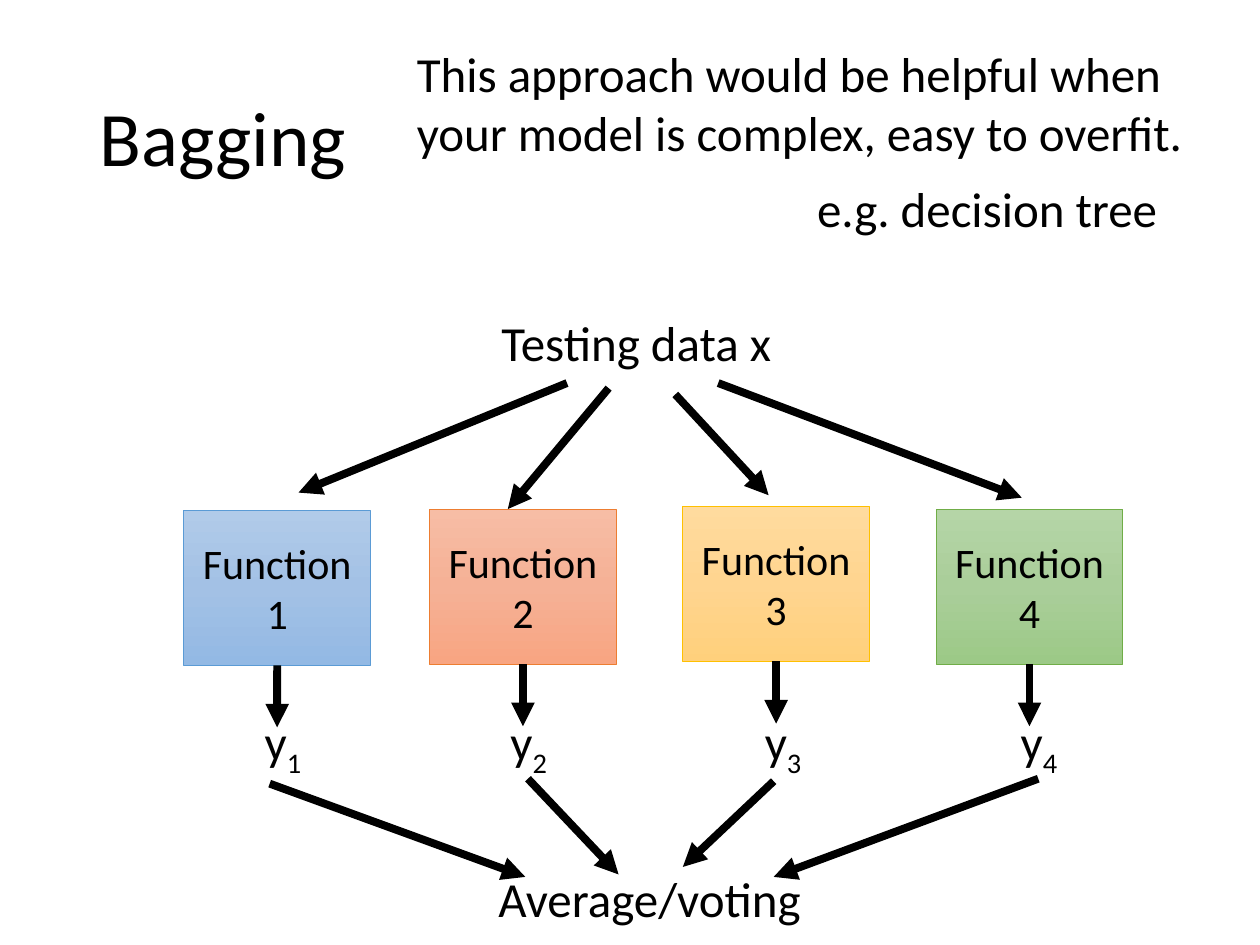
import copy

import pptx
import pptx.dml.color
import pptx.enum.shapes
import pptx.enum.text
import pptx.oxml
import pptx.oxml.ns
import pptx.util

Pt = pptx.util.Pt
ALIGN = pptx.enum.text.PP_ALIGN
ANCHOR = pptx.enum.text.MSO_ANCHOR
FONT = "Calibri"
COLORS = {
    "black": "000000",
    "blue": ("B1CBE9", "A3C1E5", "93B9E4", "5B9BD5"),
    "orange": ("F7BDA5", "F5B196", "F8A582", "ED7D31"),
    "gold": ("FFDB9E", "FFD590", "FFD07C", "FFC000"),
    "green": ("B5D5A7", "AACE9A", "9CC987", "70AD47"),
}

TITLE = ("Bagging", (49.7, 28.8, 620.6, 104.4))
FUNCTIONS = [
    ("1", "blue", 105.1, 291.6, 131.8),
    ("2", "orange", 245.5, 290.9, 272.2),
    ("3", "gold", 390.2, 289.4, 417.6),
    ("4", "green", 535, 290.9, 563.8),
]
FUNCTION_SIZE = (106.6, 88.6)
OUTPUT_TOP = 403.2
OUTPUT_SIZE = (59.8, 41.2)
ARROW_LENGTH = 35.5
LABELS = [
    ("Testing data x", (279.4, 175, 193.7, 41.2), ALIGN.LEFT),
    ("Average/voting", (274.3, 492.5, 193.7, 41.2), ALIGN.CENTER),
    ("This approach would be helpful when your model is complex, easy to overfit.",
     (231.1, 21.6, 474.5, 75), ALIGN.LEFT),
    ("e.g. decision tree", (444.2, 98.6, 239.8, 41.2), ALIGN.CENTER),
]
INPUT_ARROWS = [
    (324, 218.9, 170.6, 281.5),
    (347.8, 221.8, 290.2, 290.9),
    (385.9, 225.4, 439.2, 283),
    (410.4, 218.9, 583.9, 284.4),
]
VOTE_ARROWS = [
    (154.1, 447.8, 300.2, 501.1),
    (301.7, 445, 353.5, 499.7),
    (442.1, 446.4, 390.2, 495.4),
    (593.3, 445, 442.1, 501.1),
]


def rgb(value):
    return pptx.dml.color.RGBColor.from_string(value)


def style(para, size, align):
    para.alignment = align
    para.font.name = FONT
    para.font.size = Pt(size)
    para.font.color.rgb = rgb(COLORS["black"])


def add_label(page, text, place, align, subscript=""):
    box = page.shapes.add_textbox(*map(Pt, place))
    box.text_frame.word_wrap = True
    para = box.text_frame.paragraphs[0]
    para.add_run().text = text
    if subscript:
        span = para.add_run()
        span.text = subscript
        span.font.element.set("baseline", "-25000") if hasattr(span.font, "element") \
            else span._r.get_or_add_rPr().set("baseline", "-25000")
    style(para, 28, align)


def add_arrow(page, start_x, start_y, end_x, end_y):
    arrow = page.shapes.add_connector(
        pptx.enum.shapes.MSO_CONNECTOR.STRAIGHT, *map(Pt, (start_x, start_y, end_x, end_y)))
    arrow.line.width = Pt(4.5)
    arrow.line.color.rgb = rgb(COLORS["black"])
    line = arrow.line._get_or_add_ln()
    pptx.oxml.ns.qn("a:tailEnd")
    head = line.makeelement(pptx.oxml.ns.qn("a:tailEnd"), {"type": "triangle"})
    line.append(head)
    properties = arrow.element.spPr
    properties.append(properties.makeelement(pptx.oxml.ns.qn("a:effectLst"), {}))
    return arrow


def fill_gradient(box, colors):
    box.fill.gradient()
    box.fill.gradient_angle = 270
    stop_list = next(box.element.iter(pptx.oxml.ns.qn("a:gsLst")))
    stop_list.insert(1, copy.deepcopy(stop_list[0]))
    for stop, color, position in zip(box.fill.gradient_stops, colors, (0, 0.5, 1)):
        stop.color.rgb = rgb(color)
        stop.position = position


def add_function(page, number, color, left, top):
    box = page.shapes.add_shape(
        pptx.enum.shapes.MSO_SHAPE.RECTANGLE, *map(Pt, (left, top, *FUNCTION_SIZE)))
    box.shadow.inherit = False
    *stops, outline = COLORS[color]
    fill_gradient(box, stops)
    box.line.color.rgb = rgb(outline)
    box.line.width = Pt(0.5)
    box.text_frame.word_wrap = True
    box.text_frame.vertical_anchor = ANCHOR.MIDDLE
    box.text_frame.text = f"Function\n{number}"
    for para in box.text_frame.paragraphs:
        style(para, 24, ALIGN.CENTER)
    return box


def main():
    deck = pptx.Presentation()
    deck.slide_width, deck.slide_height = Pt(720), Pt(540)
    page = deck.slides.add_slide(deck.slide_layouts[5])

    title = page.shapes.title
    text, place = TITLE
    title.left, title.top, title.width, title.height = map(Pt, place)
    title.text_frame.text = text
    title.text_frame.vertical_anchor = ANCHOR.MIDDLE
    para = title.text_frame.paragraphs[0]
    para.line_spacing = 0.9
    style(para, 44, ALIGN.LEFT)

    width, height = FUNCTION_SIZE
    for number, color, left, top, output_left in FUNCTIONS:
        box = add_function(page, number, color, left, top)
        add_label(page, "y", (output_left, OUTPUT_TOP, *OUTPUT_SIZE), ALIGN.CENTER, number)
        center, bottom = left + width / 2, top + height
        arrow = add_arrow(page, center, bottom, center, bottom + ARROW_LENGTH)
        arrow.begin_connect(box, 2)

    for label in LABELS:
        add_label(page, *label)
    for ends in INPUT_ARROWS + VOTE_ARROWS:
        add_arrow(page, *ends)

    deck.save("out.pptx")


if __name__ == "__main__":
    main()
